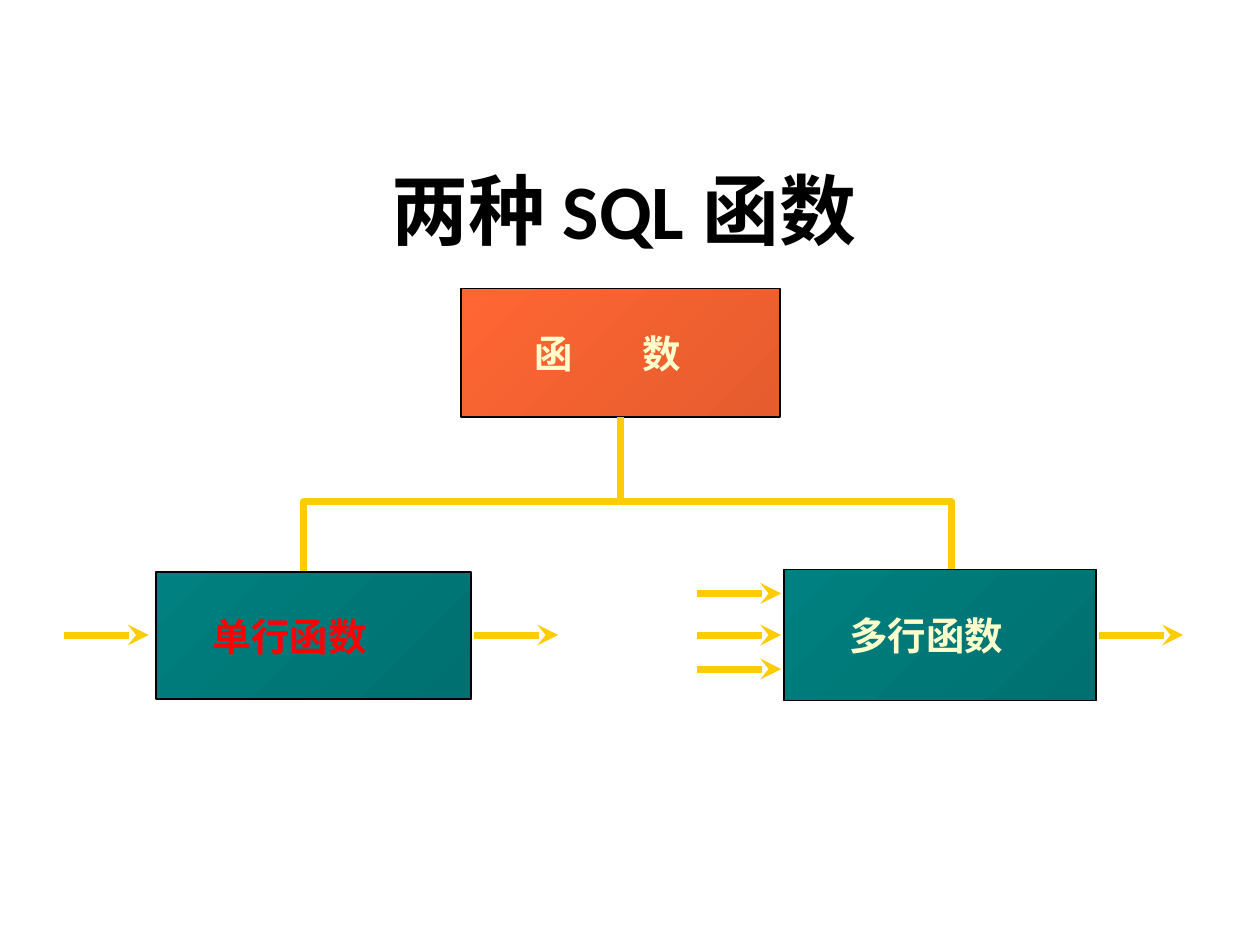
from dataclasses import dataclass

from pptx import Presentation
from pptx.dml.color import RGBColor
from pptx.enum.shapes import MSO_CONNECTOR, MSO_SHAPE
from pptx.enum.text import MSO_ANCHOR, PP_ALIGN
from pptx.oxml.ns import qn
from pptx.util import Emu, Inches, Pt
from lxml.etree import SubElement

# Grid: 100 columns by 75 rows
SLIDE_WIDTH, SLIDE_HEIGHT = Inches(10), Inches(7.5)
COLUMNS, ROWS = 100, 75
GOLD, CREAM, RED, BLACK = "FFCC00", "FFFFCC", "FF0000", "000000"
ORANGE_BLEND = ("FF6633", "E65C2E")
TEAL_BLEND = ("008080", "007070")
ARROW_LENGTH = 6.7
FLOW_ROW = 50.4


@dataclass
class FunctionBox:
    label: str
    column: float
    row: float
    columns: float
    rows: float
    blend: tuple[str, str]
    text_color: str
    indent: float


@dataclass
class FlowArrow:
    column: float
    row: float = FLOW_ROW


ALL_FUNCTIONS = FunctionBox("函\t数", 36.6, 22.9, 25.3, 10.2, ORANGE_BLEND, CREAM, 5.8)
ROW_FUNCTIONS = [
    FunctionBox("单行函数", 12.4, 45.4, 25, 10.1, TEAL_BLEND, RED, 4.5),
    FunctionBox("多行函数", 62.2, 45.2, 24.8, 10.4, TEAL_BLEND, CREAM, 5.2),
]
FLOW_ARROWS = [
    FlowArrow(5.1), FlowArrow(37.6),
    FlowArrow(55.3, 47.1), FlowArrow(55.3), FlowArrow(55.3, 53.1),
    FlowArrow(87.2),
]
BRANCH_ROW = 39.8
BRANCH_COLUMNS = (24.1, 75.5)


def across(columns: float) -> Emu:
    return Emu(round(SLIDE_WIDTH * columns / COLUMNS))


def down(rows: float) -> Emu:
    return Emu(round(SLIDE_HEIGHT * rows / ROWS))


def rgb(color: str) -> RGBColor:
    return RGBColor.from_string(color)


def set_format(target, values: dict) -> None:
    for name, value in values.items():
        setattr(target, name, value)


def style_text(paragraph, size: float, color: str) -> None:
    font = paragraph.runs[0].font
    set_format(font, {"name": "Calibri", "size": Pt(size), "bold": True})
    font.color.rgb = rgb(color)


def style_line(line, color: str, width: float) -> None:
    line.width = Pt(width)
    line.color.rgb = rgb(color)


def draw_title(slide, text: str) -> None:
    title = slide.shapes.title
    set_format(title, {"left": across(7.4), "top": down(12.4),
                       "width": across(84.2), "height": down(15.7)})
    frame = title.text_frame
    frame.text = text
    set_format(frame, {"vertical_anchor": MSO_ANCHOR.TOP, "word_wrap": True})
    frame.paragraphs[0].alignment = PP_ALIGN.CENTER
    style_text(frame.paragraphs[0], 44, BLACK)


def draw_box(slide, box: FunctionBox):
    shape = slide.shapes.add_shape(
        MSO_SHAPE.RECTANGLE, across(box.column), down(box.row),
        across(box.columns), down(box.rows))
    shape.shadow.inherit = False
    shape.fill.gradient()
    shape.fill.gradient_angle = 315
    for stop, position, color in zip(shape.fill.gradient_stops, (0, 1), box.blend):
        stop.position = position
        stop.color.rgb = rgb(color)
    style_line(shape.line, BLACK, 1)
    frame = shape.text_frame
    frame.text = box.label
    set_format(frame, {"margin_left": across(box.indent), "word_wrap": True,
                       "vertical_anchor": MSO_ANCHOR.MIDDLE})
    paragraph = frame.paragraphs[0]
    paragraph.alignment = PP_ALIGN.LEFT
    style_text(paragraph, 22, box.text_color)
    if "\t" in box.label:
        stops = SubElement(paragraph._p.get_or_add_pPr(), qn("a:tabLst"))
        SubElement(stops, qn("a:tab"), pos=str(across(8.6)), algn="l")
    return shape


def draw_line(slide, start: tuple[float, float], end: tuple[float, float],
              arrow: bool = False):
    line = slide.shapes.add_connector(
        MSO_CONNECTOR.STRAIGHT, across(start[0]), down(start[1]),
        across(end[0]), down(end[1]))
    style_line(line.line, GOLD, 4)
    if arrow:
        SubElement(line.line._get_or_add_ln(), qn("a:tailEnd"), type="stealth")
    SubElement(line._element.spPr, qn("a:effectLst"))
    return line


def draw_branches(slide) -> None:
    left, right = BRANCH_COLUMNS
    left_box, right_box = ROW_FUNCTIONS
    builder = slide.shapes.build_freeform(across(left), down(left_box.row))
    builder.add_line_segments(
        [(across(left), down(BRANCH_ROW)), (across(right), down(BRANCH_ROW)),
         (across(right), down(right_box.row))], close=False)
    branches = builder.convert_to_shape()
    branches.shadow.inherit = False
    branches.fill.background()
    style_line(branches.line, GOLD, 4)
    SubElement(branches.line._get_or_add_ln(), qn("a:round"))


def main() -> None:
    deck = Presentation()
    set_format(deck, {"slide_width": SLIDE_WIDTH, "slide_height": SLIDE_HEIGHT})
    slide = deck.slides.add_slide(deck.slide_layouts[5])

    # Tree from all functions to the two kinds
    draw_branches(slide)
    draw_title(slide, "两种 SQL 函数")
    root = draw_box(slide, ALL_FUNCTIONS)
    for box in ROW_FUNCTIONS:
        draw_box(slide, box)
    trunk_column = ALL_FUNCTIONS.column + ALL_FUNCTIONS.columns / 2
    trunk = draw_line(slide, (trunk_column, ALL_FUNCTIONS.row + ALL_FUNCTIONS.rows),
                      (trunk_column, BRANCH_ROW))
    trunk.begin_connect(root, 2)

    # Rows flowing in and out
    for arrow in FLOW_ARROWS:
        draw_line(slide, (arrow.column, arrow.row),
                  (arrow.column + ARROW_LENGTH, arrow.row), arrow=True)

    deck.save("out.pptx")


if __name__ == "__main__":
    main()
